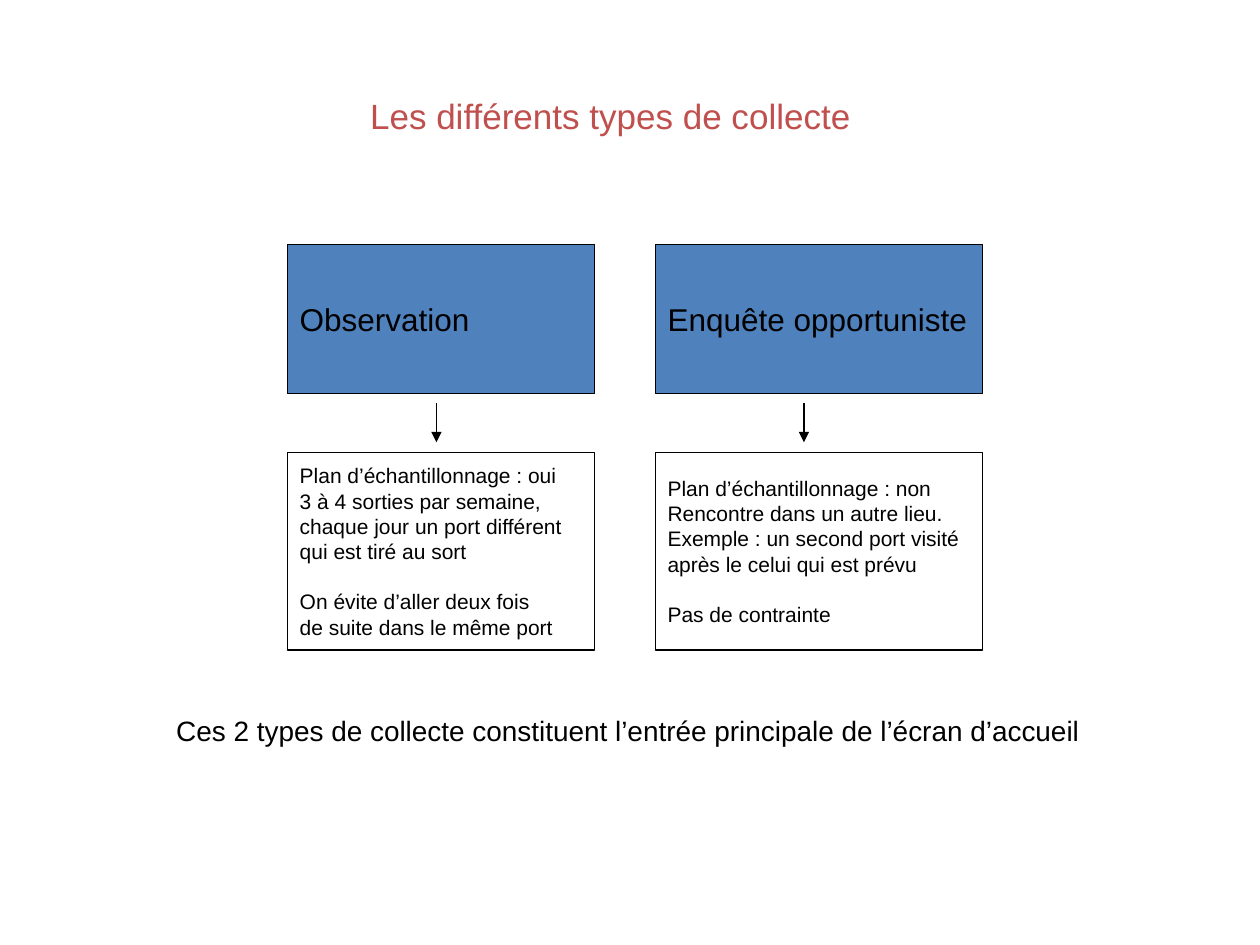
from lxml import etree
from pptx import Presentation
from pptx.dml.color import RGBColor
from pptx.enum import shapes, text
from pptx.oxml import ns
from pptx.util import Pt

COLORS = {"ink": "000000", "title": "C0504D", "header": "4F81BD"}
TITLE = "Les différents types de collecte"
CONCLUSION = "Ces 2 types de collecte constituent l’entrée principale de l’écran d’accueil"

# Each detail is a list of groups of lines, set apart by a gap.
COLLECTIONS = [
    {
        "name": "Observation",
        "left": 164.2, "width": 175.7, "arrow": 249.4,
        "details": [
            ["Plan d’échantillonnage : oui", "3 à 4 sorties par semaine,",
             "chaque jour un port différent", "qui est tiré au sort"],
            ["On évite d’aller deux fois", "de suite dans le même port"],
        ],
    },
    {
        "name": "Enquête opportuniste",
        "left": 374.4, "width": 187.2, "arrow": 459.4,
        "details": [
            ["Plan d’échantillonnage : non", "Rencontre dans un autre lieu.",
             "Exemple : un second port visité", "après le celui qui est prévu"],
            ["Pas de contrainte"],
        ],
    },
]

HEADER_TOP, HEADER_HEIGHT = 139.7, 85
DETAIL_TOP, DETAIL_HEIGHT = 258.5, 113
ARROW_TOP, ARROW_BOTTOM = 230.4, 252.7
BANNER_LEFT, BANNER_WIDTH, BANNER_HEIGHT = 93.6, 510.5, 45.4
TITLE_TOP, CONCLUSION_TOP = 43.2, 394.6
GROUP_GAP = 14.4

FRAME_FORMAT = {
    "word_wrap": False,
    "auto_size": text.MSO_AUTO_SIZE.NONE,
    "vertical_anchor": text.MSO_ANCHOR.MIDDLE,
    "margin_left": Pt(7.2), "margin_right": Pt(7.2),
    "margin_top": Pt(3.6), "margin_bottom": Pt(3.6),
}


def color(name):
    return RGBColor.from_string(COLORS[name])


def write(box, groups, size, ink="ink", align=text.PP_ALIGN.LEFT):
    frame = box.text_frame
    for name, value in FRAME_FORMAT.items():
        setattr(frame, name, value)
    lines = [(line, GROUP_GAP if g and not i else 0)
             for g, group in enumerate(groups) for i, line in enumerate(group)]
    for index, (line, gap) in enumerate(lines):
        para = frame.add_paragraph() if index else frame.paragraphs[0]
        para.alignment = align
        para.space_before = Pt(gap)
        span = para.add_run()
        span.text = line
        for name, value in {"name": "Arial", "size": Pt(size)}.items():
            setattr(span.font, name, value)
        span.font.color.rgb = color(ink)


def add_box(page, bounds, groups, size, fill=None):
    box = page.shapes.add_shape(shapes.MSO_SHAPE.RECTANGLE, *map(Pt, bounds))
    box.shadow.inherit = False
    if fill:
        box.fill.solid()
        box.fill.fore_color.rgb = color(fill)
    else:
        box.fill.background()
    box.line.color.rgb = color("ink")
    box.line.width = Pt(0.75)
    write(box, groups, size)


def add_banner(page, top, line, size, **style):
    bounds = (BANNER_LEFT, top, BANNER_WIDTH, BANNER_HEIGHT)
    write(page.shapes.add_textbox(*map(Pt, bounds)), [[line]], size, **style)


def add_arrow(page, x):
    arrow = page.shapes.add_connector(
        shapes.MSO_CONNECTOR.STRAIGHT, *map(Pt, (x, ARROW_TOP, x, ARROW_BOTTOM)))
    arrow.line.color.rgb = color("ink")
    arrow.line.width = Pt(0.75)
    properties = arrow.element.spPr
    etree.SubElement(properties.find(ns.qn("a:ln")), ns.qn("a:tailEnd"), type="triangle")
    etree.SubElement(properties, ns.qn("a:effectLst"))


def main():
    deck = Presentation()
    deck.slide_width, deck.slide_height = Pt(720), Pt(540)
    page = deck.slides.add_slide(deck.slide_layouts[6])

    add_banner(page, TITLE_TOP, TITLE, 20, ink="title", align=text.PP_ALIGN.CENTER)
    for kind in COLLECTIONS:
        left, width = kind["left"], kind["width"]
        add_box(page, (left, HEADER_TOP, width, HEADER_HEIGHT),
                [[kind["name"]]], 18, fill="header")
        add_arrow(page, kind["arrow"])
        add_box(page, (left, DETAIL_TOP, width, DETAIL_HEIGHT), kind["details"], 12)
    add_banner(page, CONCLUSION_TOP, CONCLUSION, 16)

    deck.save("out.pptx")


if __name__ == "__main__":
    main()
